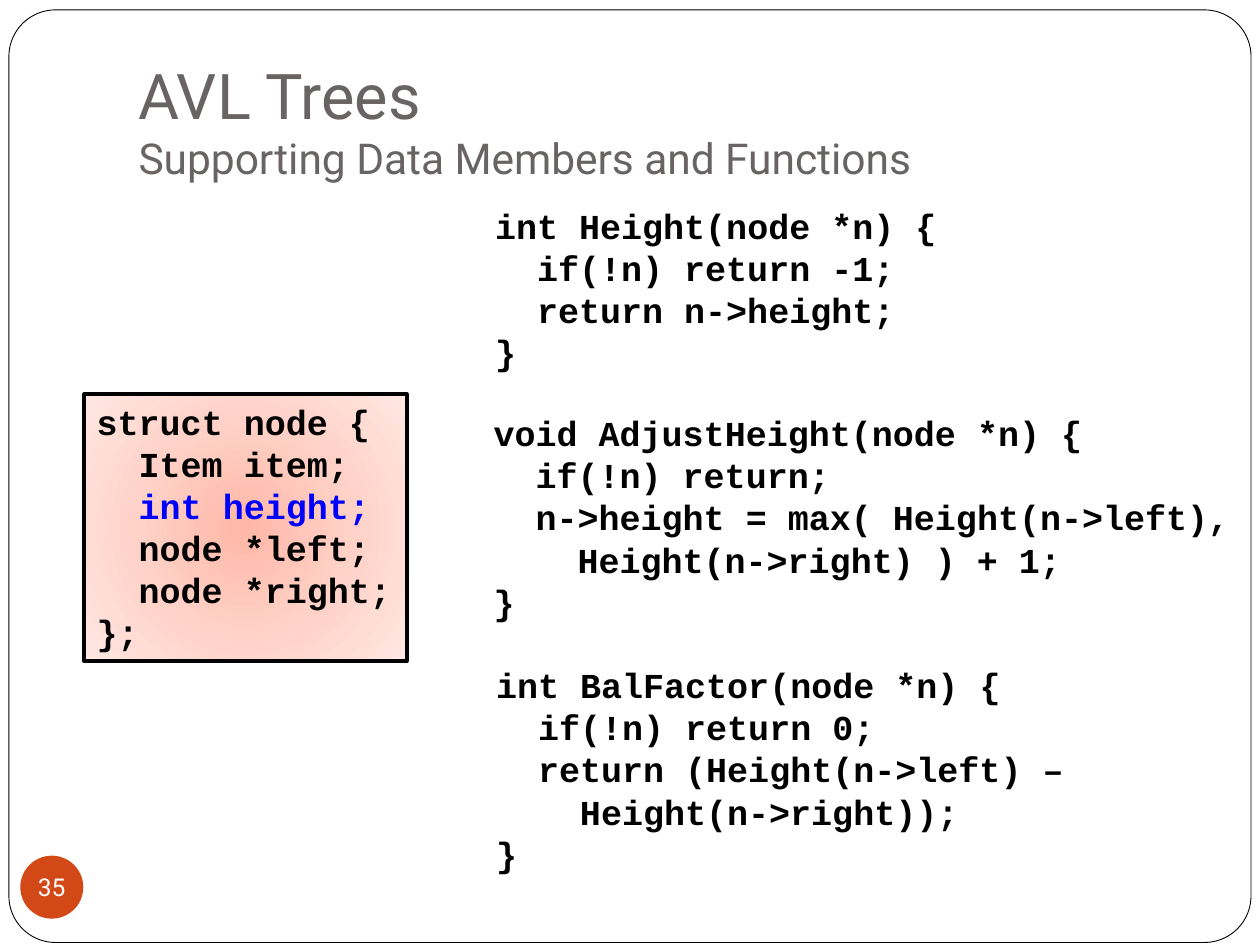
from lxml import etree
from pptx import Presentation
from pptx.dml.color import RGBColor
from pptx.enum.shapes import MSO_SHAPE
from pptx.enum.text import MSO_ANCHOR, MSO_AUTO_SIZE, PP_ALIGN
from pptx.oxml import parse_xml
from pptx.util import Cm, Pt

RECT, ROUND, OVAL = MSO_SHAPE.RECTANGLE, MSO_SHAPE.ROUNDED_RECTANGLE, MSO_SHAPE.OVAL
LEFT, CENTER = PP_ALIGN.LEFT, PP_ALIGN.CENTER
TOP, MIDDLE, BOTTOM = MSO_ANCHOR.TOP, MSO_ANCHOR.MIDDLE, MSO_ANCHOR.BOTTOM
FIXED, GROW = MSO_AUTO_SIZE.NONE, MSO_AUTO_SIZE.SHAPE_TO_FIT_TEXT
NS = "http://schemas.openxmlformats.org/drawingml/2006/main"
HEX = {"white": "FFFFFF", "black": "000000", "gray": "696464", "orange": "D34817",
       "blue": "0000FF", "inner": "FFB7A6", "mid": "FFD1C7", "outer": "FFE8E3"}
COLOR = {name: RGBColor.from_string(code) for name, code in HEX.items()}
STEP = Pt(24)  # one code indent: two characters at 20 pt


def add_box(kind, x, y, w, h, fill, line=None):
    box = slide.shapes.add_shape(kind, Cm(x), Cm(y), Cm(w), Cm(h))
    box.shadow.inherit = False
    box.fill.solid()
    box.fill.fore_color.rgb = COLOR[fill]
    if line:
        box.line.color.rgb = COLOR["black"]
        box.line.width = Pt(line)
    else:
        box.line.fill.background()
    return box


def write_code(box, lines):
    frame = box.text_frame
    frame.word_wrap = False
    frame.auto_size = GROW
    frame.vertical_anchor = TOP
    for i, (depth, text, tint) in enumerate(lines):
        par = frame.add_paragraph() if i else frame.paragraphs[0]
        par.text = text
        par.alignment = LEFT
        par.font.name, par.font.size, par.font.bold = "Courier New", Pt(20), True
        par.font.color.rgb = COLOR[tint]
        if depth:
            props = par._p.get_or_add_pPr()
            props.set("marL", str(depth * STEP))
            props.set("indent", "0")


deck = Presentation()
deck.slide_width, deck.slide_height = Cm(25.4), Cm(19.05)
slide = deck.slides.add_slide(deck.slide_layouts[5])

# Rounded frame behind everything
card = add_box(ROUND, 0.18, 0.2, 25.04, 18.8, "white", 0.5)
card.adjustments[0] = 0.05
slide.shapes._spTree.insert(2, card._element)

# Title with subtitle line
title = slide.shapes.title
title.left, title.top, title.width, title.height = Cm(2.54), Cm(0.76), Cm(21.59), Cm(3.18)
frame = title.text_frame
frame.word_wrap, frame.auto_size, frame.vertical_anchor = True, FIXED, BOTTOM
frame.margin_bottom = Cm(0.25)
head = frame.paragraphs[0]
head.alignment = LEFT
head.font.name = "Roboto"
head.font.color.rgb = COLOR["gray"]
big = head.add_run()
big.text, big.font.size = "AVL Trees", Pt(36)
head.add_line_break()
small = head.add_run()
small.text, small.font.size = "Supporting Data Members and Functions", Pt(24.3)

# Slide number badge
badge = add_box(OVAL, 0.41, 17.25, 1.27, 1.27, "orange")
frame = badge.text_frame
frame.margin_left = frame.margin_right = frame.margin_top = frame.margin_bottom = 0
frame.word_wrap, frame.vertical_anchor = False, MIDDLE
num = frame.paragraphs[0]
num.text, num.alignment = "35", CENTER
num.font.name, num.font.size = "Roboto", Pt(14)
num.font.color.rgb = COLOR["white"]

# Node struct on a radial gradient
node = add_box(RECT, 1.7, 7.95, 6.5, 5.38, "mid", 2.25)
stops = "".join(f'<a:gs pos="{pos}"><a:srgbClr val="{HEX[name]}"/></a:gs>'
                for pos, name in ((0, "inner"), (50000, "mid"), (100000, "outer")))
glow = parse_xml(f'<a:gradFill xmlns:a="{NS}" rotWithShape="1"><a:gsLst>{stops}</a:gsLst>'
                 '<a:path path="circle"><a:fillToRect l="50000" t="50000" r="50000" b="50000"/>'
                 '</a:path></a:gradFill>')
props = node._element.spPr
props.replace(props.find(etree.QName(NS, "solidFill").text), glow)
write_code(node, [
    (0, "struct node {", "black"),
    (1, "Item item;", "black"),
    (1, "int height;", "blue"),
    (1, "node *left;", "black"),
    (1, "node *right;", "black"),
    (0, "};", "black"),
])

# Functions: place, size and lines with their indent depth
funcs = [
    (9.7, 8.18, 15.47, 4.52, [
        (0, "void AdjustHeight(node *n) {"),
        (1, "if(!n) return;"),
        (1, "n->height = max( Height(n->left),"),
        (2, "Height(n->right) ) + 1;"),
        (0, "}")]),
    (9.75, 13.26, 12.47, 4.52, [
        (0, "int BalFactor(node *n) {"),
        (1, "if(!n) return 0;"),
        (1, "return (Height(n->left) –"),
        (2, "Height(n->right));"),
        (0, "}")]),
    (9.73, 3.99, 9.5, 3.68, [
        (0, "int Height(node *n) {"),
        (1, "if(!n) return -1;"),
        (1, "return n->height;"),
        (0, "}")]),
]
for x, y, w, h, lines in funcs:
    box = slide.shapes.add_textbox(Cm(x), Cm(y), Cm(w), Cm(h))
    write_code(box, [(depth, text, "black") for depth, text in lines])

deck.save("out.pptx")
